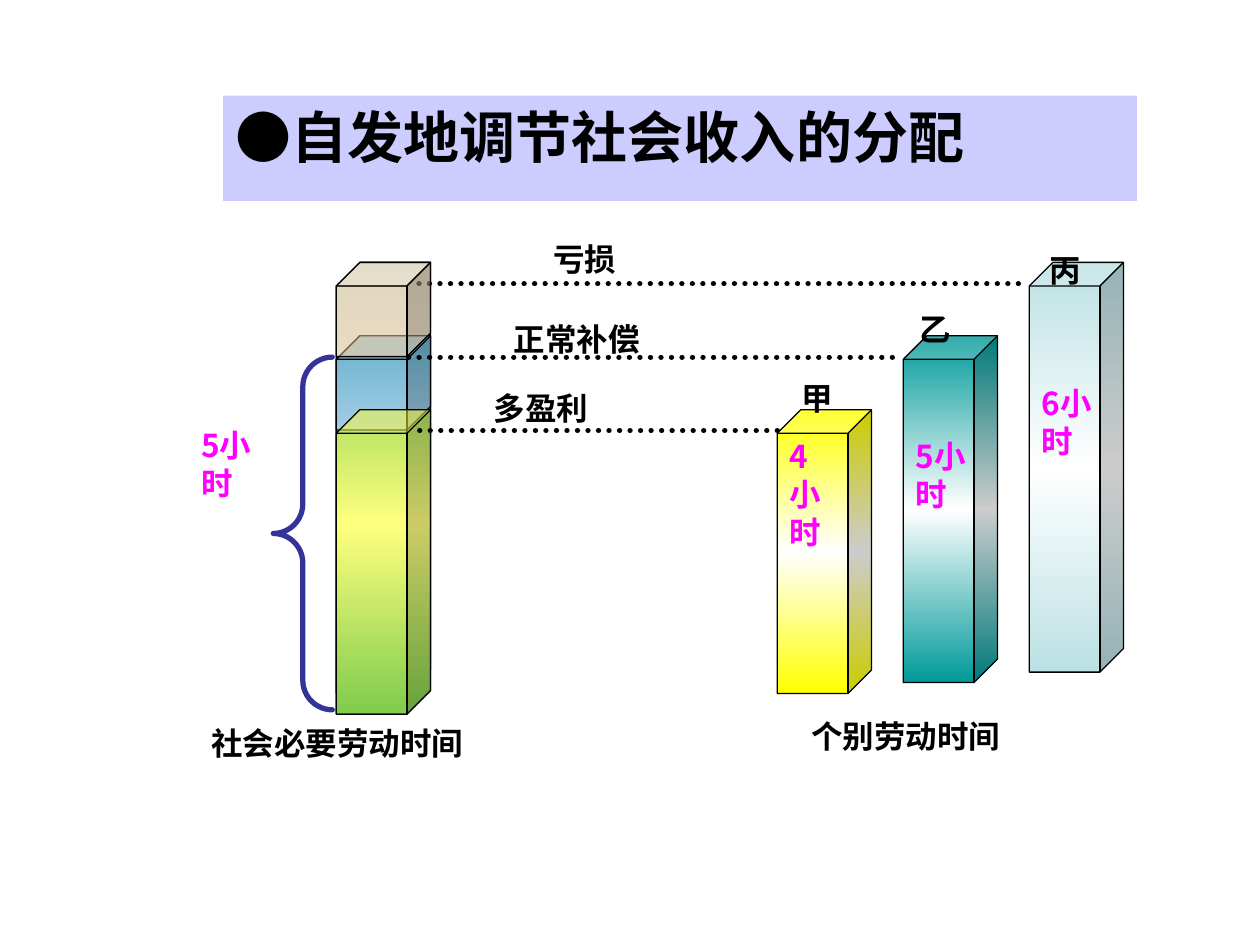
"""Build a slide comparing socially necessary and individual labour time."""
from lxml import etree
from pptx import Presentation
from pptx.dml.color import RGBColor
from pptx.enum.dml import MSO_LINE
from pptx.enum.shapes import MSO_CONNECTOR, MSO_SHAPE
from pptx.enum.text import MSO_ANCHOR, MSO_AUTO_SIZE, PP_ALIGN
from pptx.oxml.ns import qn
from pptx.util import Cm, Pt

CUBE, BRACE = MSO_SHAPE.CUBE, MSO_SHAPE.LEFT_BRACE
STRAIGHT = MSO_CONNECTOR.STRAIGHT
DOTTED = MSO_LINE.ROUND_DOT
TOP, LEFT = MSO_ANCHOR.TOP, PP_ALIGN.LEFT
GROW = MSO_AUTO_SIZE.SHAPE_TO_FIT_TEXT

LATIN, CJK = "Arial", "Noto Sans CJK SC"
BLACK, WHITE, MAGENTA, INDIGO = "000000", "FFFFFF", "FF00FF", "333399"
LAVENDER, YELLOW, TEAL, ICE, PEACH = "CCCCFF", "FFFF00", "009999", "BBE0E3", "FFCC99"

SOCIAL_X = 6.78
PRODUCER_X, PRODUCER_STEP = 15.67, 2.54
COLUMN_WIDTH = 1.9
LABEL_HEIGHT, HOURS_HEIGHT = 1.6, 4.32


def rgb(value):
    """Return the colour for a hex string."""
    return RGBColor.from_string(value)


def set_line(line, color, points):
    """Give an outline its colour and width."""
    line.color.rgb = rgb(color)
    line.width = Pt(points)


def write(frame, text, size=18, color=BLACK, font=LATIN, wrap=True):
    """Write one bold, left-aligned line of text in a frame."""
    frame.word_wrap = wrap
    frame.auto_size = GROW
    frame.vertical_anchor = TOP
    paragraph = frame.paragraphs[0]
    paragraph.alignment = LEFT
    paragraph.line_spacing = Pt(size * 1.2)
    paragraph.space_before = Pt(0)
    run = paragraph.add_run()
    run.text = text
    run.font.size = Pt(size)
    run.font.bold = True
    run.font.name = font
    run.font.color.rgb = rgb(color)
    east_asian = etree.Element(qn("a:ea"), typeface=CJK)
    run.font._element.find(qn("a:latin")).addnext(east_asian)


def add_title(slide, text):
    """Fill and place the title placeholder."""
    title = slide.shapes.title
    title.left, title.top = Cm(4.5), Cm(1.93)
    title.width, title.height = Cm(18.42), Cm(1.63)
    title.fill.solid()
    title.fill.fore_color.rgb = rgb(LAVENDER)
    write(title.text_frame, text, size=32)


def add_label(slide, text, left, top, width, height=LABEL_HEIGHT, **style):
    """Add a text label."""
    box = slide.shapes.add_textbox(Cm(left), Cm(top), Cm(width), Cm(height))
    write(box.text_frame, text, **style)


def add_hours(slide, text, left, top, width):
    """Add a magenta label with a number of hours."""
    add_label(slide, text, left, top, width, HOURS_HEIGHT, color=MAGENTA, font=CJK)


def add_column(slide, left, top, height):
    """Add an outlined cube and return it."""
    column = slide.shapes.add_shape(
        CUBE, Cm(left), Cm(top), Cm(COLUMN_WIDTH), Cm(height))
    column.shadow.inherit = False
    set_line(column.line, BLACK, 0.75)
    return column


def add_shaded_column(slide, left, top, height, color):
    """Add a cube shaded from a colour to white and back."""
    fill = add_column(slide, left, top, height).fill
    fill.gradient()
    fill.gradient_angle = 270
    stops = fill._xPr.find(qn("a:gradFill")).find(qn("a:gsLst"))
    for stop in list(stops):
        stops.remove(stop)
    for position, shade in ((0, color), (50000, WHITE), (100000, color)):
        stop = etree.SubElement(stops, qn("a:gs"), pos=str(position))
        etree.SubElement(stop, qn("a:srgbClr"), val=shade)


def add_clear_column(slide, left, top, height, color):
    """Add a half-transparent cube."""
    column = add_column(slide, left, top, height)
    column.fill.solid()
    column.fill.fore_color.rgb = rgb(color)
    tint = column._element.spPr.find(qn("a:solidFill")).find(qn("a:srgbClr"))
    etree.SubElement(tint, qn("a:alpha"), val="50000")


def add_dotted_line(slide, start, end, height):
    """Add a level dotted line."""
    level = slide.shapes.add_connector(
        STRAIGHT, Cm(start), Cm(height), Cm(end), Cm(height))
    set_line(level.line, BLACK, 3)
    level.line.dash_style = DOTTED
    level.line._ln.set("cap", "rnd")
    etree.SubElement(level._element.spPr, qn("a:effectLst"))


def add_brace(slide, left, top, width, height):
    """Add the brace that spans the socially necessary time."""
    brace = slide.shapes.add_shape(BRACE, Cm(left), Cm(top), Cm(width), Cm(height))
    brace.shadow.inherit = False
    brace.adjustments[0] = 0.5
    brace.fill.background()
    set_line(brace.line, INDIGO, 3)
    brace.line._ln.set("cap", "rnd")


def main():
    """Build and save the slide."""
    deck = Presentation()
    deck.slide_width, deck.slide_height = Cm(25.4), Cm(19.05)
    slide = deck.slides.add_slide(deck.slide_layouts[5])
    add_title(slide, "●自发地调节社会收入的分配")

    add_shaded_column(slide, SOCIAL_X, 5.29, 8.68, ICE)
    producers = [(8.26, 5.72, YELLOW), (6.77, 6.99, TEAL), (5.29, 8.26, ICE)]
    for index, (top, height, color) in enumerate(producers):
        left = PRODUCER_X + index * PRODUCER_STEP
        add_shaded_column(slide, left, top, height, color)

    for name, left, top, width in (("甲", 15.9, 7.52, 1.47),
                                   ("乙", 18.29, 6.12, 1.47),
                                   ("丙", 20.9, 4.93, 1.9)):
        add_label(slide, name, left, top, width)
    for index, (hours, top, width) in enumerate((("4小时", 8.69, 1.47),
                                                 ("5小时", 8.69, 1.7),
                                                 ("6小时", 7.62, 1.7))):
        add_hours(slide, hours, PRODUCER_X + index * PRODUCER_STEP, top, width)

    add_shaded_column(slide, SOCIAL_X, 6.77, 7.62, TEAL)
    add_clear_column(slide, SOCIAL_X, 6.77, 1.9, LAVENDER)
    add_clear_column(slide, SOCIAL_X, 8.26, 6.14, YELLOW)
    add_hours(slide, "5小时", 3.81, 8.46, 1.7)

    for start, end, height in ((15.67, 8.26, 8.68),
                               (17.99, 8.04, 7.2),
                               (20.53, 8.26, 5.72)):
        add_dotted_line(slide, start, end, height)
    for text, left, top, width in (("社会必要劳动时间", 4.01, 14.48, 9.58),
                                   ("个别劳动时间", 16.1, 14.33, 7.32),
                                   ("多盈利", 9.7, 7.72, 3.91),
                                   ("正常补偿", 10.11, 6.32, 5.05),
                                   ("亏损", 10.9, 4.72, 2.77)):
        add_label(slide, text, left, top, width, wrap=False)

    add_clear_column(slide, SOCIAL_X, 5.29, 1.9, PEACH)
    add_brace(slide, 5.51, 7.2, 1.19, 7.11)
    deck.save("out.pptx")


if __name__ == "__main__":
    main()
